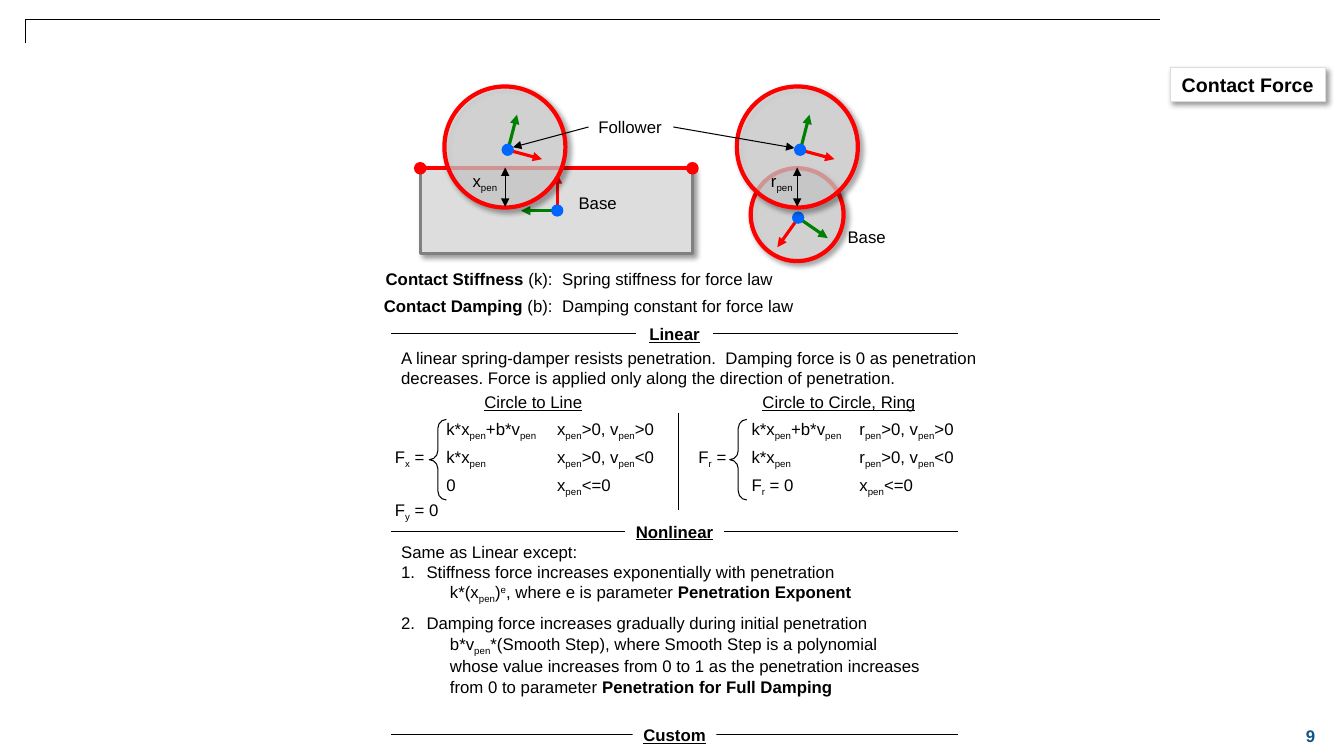
"""Build the contact force slide: sketches, force laws and list of rules."""
from lxml.etree import SubElement as Sub
from pptx import Presentation
from pptx.dml.color import RGBColor as RGB
from pptx.enum.shapes import MSO_CONNECTOR as Link, MSO_SHAPE as Form
from pptx.enum.text import MSO_ANCHOR as Anchor, PP_ALIGN as Align
from pptx.oxml.ns import qn
from pptx.util import Cm, Pt

hues = {"ink": "000000", "page": "FFFFFF", "body": "DDDDDD", "gray": "808080",
        "red": "FF0000", "green": "008000", "blue": "0066FF", "navy": "125687"}

deck = Presentation()
deck.slide_width, deck.slide_height = Cm(33.87), Cm(19.05)
slide = deck.slides.add_slide(deck.slide_layouts[6])
shapes = slide.shapes


def write(node, lines, align=Align.LEFT, size=12, hue="ink", bold=False, under=False, wrap=False):
    """Fill node with lines, where ~ marks bold, _ marks low and _^ marks high text."""
    frame = node.text_frame
    frame.word_wrap = wrap
    for row, line in enumerate(lines):
        para = frame.add_paragraph() if row else frame.paragraphs[0]
        para.alignment = align
        for i, part in enumerate(line.split("~")):
            for j, bit in enumerate(part.split("_")):
                if not bit:
                    continue
                run = para.add_run()
                run.text = bit.lstrip("^")
                font = run.font
                font.name, font.size = "Arial", Pt(size)
                font.bold, font.underline = bold or i % 2 == 1, under
                font.color.rgb = RGB.from_string(hues[hue])
                if j % 2:
                    base = "30000" if bit[0] == "^" else "-25000"
                    run._r.get_or_add_rPr().set("baseline", base)


def join(x, y, x2, y2, hue="ink", width=0.75, head=None, tail=None, kind=Link.STRAIGHT):
    """Draw a line from x, y to x2, y2 with optional ends."""
    line = shapes.add_connector(kind, Cm(x), Cm(y), Cm(x2), Cm(y2))
    line.line.color.rgb = RGB.from_string(hues[hue])
    line.line.width = Pt(width)
    for tag, end in (("a:headEnd", head), ("a:tailEnd", tail)):
        if end:
            Sub(line.line._get_or_add_ln(), qn(tag), type=end)
    Sub(line._element.spPr, qn("a:effectLst"))
    return line


edge = join(29.24, 0.49, 0.64, 1.08, kind=Link.ELBOW)
geom = edge._element.spPr.find(qn("a:prstGeom"))
bends = geom.find(qn("a:avLst"))
if bends is None:
    bends = Sub(geom, qn("a:avLst"))
Sub(bends, qn("a:gd"), name="adj1", fmla="val 100000")

page = shapes.add_textbox(Cm(32.18), Cm(18.01), Cm(1.7), Cm(1.07))
page.text_frame.vertical_anchor = Anchor.MIDDLE
write(page, ["9"], Align.CENTER, hue="navy", bold=True, wrap=True)

tilt = ((0.86, 0.23), (0.23, -0.89))
bodies = [
    (Form.OVAL, 18.92, 4.24, 2.34, 2.34, "body", "red", 3, (20.12, 5.49), ((-0.53, 0.74), (0.74, 0.51))),
    (Form.RECTANGLE, 10.59, 4.22, 6.86, 2.16, "body", "gray", 2, (14.05, 5.31), ((0, -0.92), (-0.92, 0))),
    (Form.OVAL, 11.2, 2.18, 3.05, 3.05, "body", "red", 3, (12.8, 3.78), tilt),
    (Form.OVAL, 18.57, 2.18, 3.05, 3.05, "body", "red", 3, (20.17, 3.78), tilt),
    (Form.RECTANGLE, 29.49, 1.7, 3.91, 0.86, "page", "body", 0.75, None, ()),
]
for form, x, y, w, h, fill, rim, width, hub, axes in bodies:
    body = shapes.add_shape(form, Cm(x), Cm(y), Cm(w), Cm(h))
    body.fill.solid()
    body.fill.fore_color.rgb = RGB.from_string(hues[fill])
    body.line.color.rgb = RGB.from_string(hues[rim])
    body.line.width = Pt(width)
    props = body._element.spPr
    shade = Sub(Sub(props, qn("a:effectLst")), qn("a:outerShdw"), blurRad=str(Pt(4)),
                dist=str(Pt(3)), dir="2700000", algn="tl", rotWithShape="0")
    Sub(Sub(shade, qn("a:srgbClr"), val=hues["ink"]), qn("a:alpha"), val="40000")
    if form == Form.OVAL:
        Sub(props.find(qn("a:solidFill"))[0], qn("a:alpha"), val="67000")
    if rim == "gray":
        join(x, 4.24, x + w, 4.24, "red", 3, "oval", "oval")
    if hub:
        for (dx, dy), hue in zip(axes, ("red", "green")):
            join(*hub, hub[0] + dx, hub[1] + dy, hue, 2.25, tail="triangle")
        dot = shapes.add_shape(Form.OVAL, Cm(hub[0] - 0.16), Cm(hub[1] - 0.16), Cm(0.31), Cm(0.31))
        dot.fill.solid()
        dot.fill.fore_color.rgb = RGB.from_string(hues["blue"])
        dot.line.fill.background()
        dot.shadow.inherit = False
    if fill == "page":
        write(body, ["Contact Force"], Align.CENTER, 14, bold=True)

for x in (12.73, 20.09):
    join(x, 5.21, x, 4.22, head="triangle", tail="triangle")
join(14.83, 3.2, 12.93, 3.71, tail="triangle")
join(16.97, 3.2, 20.02, 3.73, tail="triangle")
join(17.09, 10.41, 17.09, 12.85)

for name, y, w in (("Linear", 8.41, 1.93), ("Nonlinear", 13.39, 2.49), ("Custom", 18.52, 2.11)):
    join(24.13, y, 9.86, y)
    plate = shapes.add_shape(Form.RECTANGLE, Cm(17 - w / 2), Cm(y - 0.38), Cm(w), Cm(0.76))
    plate.fill.solid()
    plate.fill.fore_color.rgb = RGB.from_string(hues["page"])
    plate.line.fill.background()
    plate.shadow.inherit = False
    write(plate, [name], Align.CENTER, bold=True, under=True)

labels = [
    ("Follower", 14.83, 2.82, 2.11), ("Base", 14.33, 4.72, 1.47), ("Base", 21.11, 5.59, 1.47),
    ("x_pen_", 11.66, 4.17, 1.22), ("r_pen_", 19.18, 4.17, 1.14),
    ("~Contact Stiffness~ (k):", 9.4, 6.65, 4.78), ("Spring stiffness for force law", 13.92, 6.65, 5.87),
    ("~Contact Damping~ (b):", 9.35, 7.32, 4.83), ("Damping constant for force law", 13.92, 7.32, 6.48),
    ("F_x_ =", 9.7, 11.13, 1.5), ("F_r_ =", 17.35, 11.13, 1.5), ("F_y_ = 0", 9.7, 12.47, 1.65),
]
laws = [
    (11, (("k*x_pen_+b*v_pen_", 2.92), ("k*x_pen_", 1.57), ("0", 0.74))),
    (13.79, (("x_pen_>0, v_pen_>0", 3.23), ("x_pen_>0, v_pen_<0", 3.23), ("x_pen_<=0", 2.2))),
    (18.69, (("k*x_pen_+b*v_pen_", 2.92), ("k*x_pen_", 1.57), ("F_r_ = 0", 1.65))),
    (21.41, (("r_pen_>0, v_pen_>0", 3.18), ("r_pen_>0, v_pen_<0", 3.18), ("x_pen_<=0", 2.2))),
]
for x, terms in laws:
    labels += [(term, x, 10.42 + 0.71 * i, w) for i, (term, w) in enumerate(terms)]
for words, x, y, w in labels:
    label = shapes.add_textbox(Cm(x), Cm(y), Cm(w), Cm(0.76))
    write(label, [words], Align.RIGHT if words.endswith(":") else Align.LEFT)

for name, x, w, left in (("Circle to Line", 11.94, 3, 10.82), ("Circle to Circle, Ring", 18.95, 4.39, 18.39)):
    title = shapes.add_textbox(Cm(x), Cm(9.75), Cm(w), Cm(0.76))
    write(title, [name], Align.CENTER, under=True)
    brace = shapes.add_shape(Form.LEFT_BRACE, Cm(left), Cm(10.57), Cm(0.43), Cm(2.03))
    brace.adjustments[0] = 0.53
    brace.fill.background()
    brace.line.color.rgb = RGB.from_string(hues["ink"])
    brace.line.width = Pt(0.75)
    brace.shadow.inherit = False

intro = shapes.add_textbox(Cm(9.86), Cm(8.64), Cm(15.3), Cm(1.27))
write(intro, ["A linear spring-damper resists penetration.  Damping force is 0 as penetration",
              "decreases. Force is applied only along the direction of penetration."], wrap=True)

rules = shapes.add_textbox(Cm(9.86), Cm(13.52), Cm(13.82), Cm(4.06))
write(rules, ["Same as Linear except:",
              "Stiffness force increases exponentially with penetration",
              "k*(x_pen_)_^e_, where e is parameter ~Penetration Exponent~",
              "Damping force increases gradually during initial penetration",
              "b*v_pen_*(Smooth Step), where Smooth Step is a polynomial",
              "whose value increases from 0 to 1 as the penetration increases",
              "from 0 to parameter ~Penetration for Full Damping~"], wrap=True)
paras = rules.text_frame.paragraphs
paras[2].space_after = Pt(6)
for i, para in enumerate(paras[1:], 1):
    props = para._p.get_or_add_pPr()
    if i in (1, 3):
        props.set("marL", str(Cm(0.64)))
        props.set("indent", str(-Cm(0.64)))
        Sub(props, qn("a:buFont"), typeface="+mj-lt")
        Sub(props, qn("a:buAutoNum"), type="arabicPeriod", startAt=str((i + 1) // 2))
    else:
        props.set("marL", str(Cm(1.23)))
        props.set("indent", "0")

deck.save("out.pptx")
